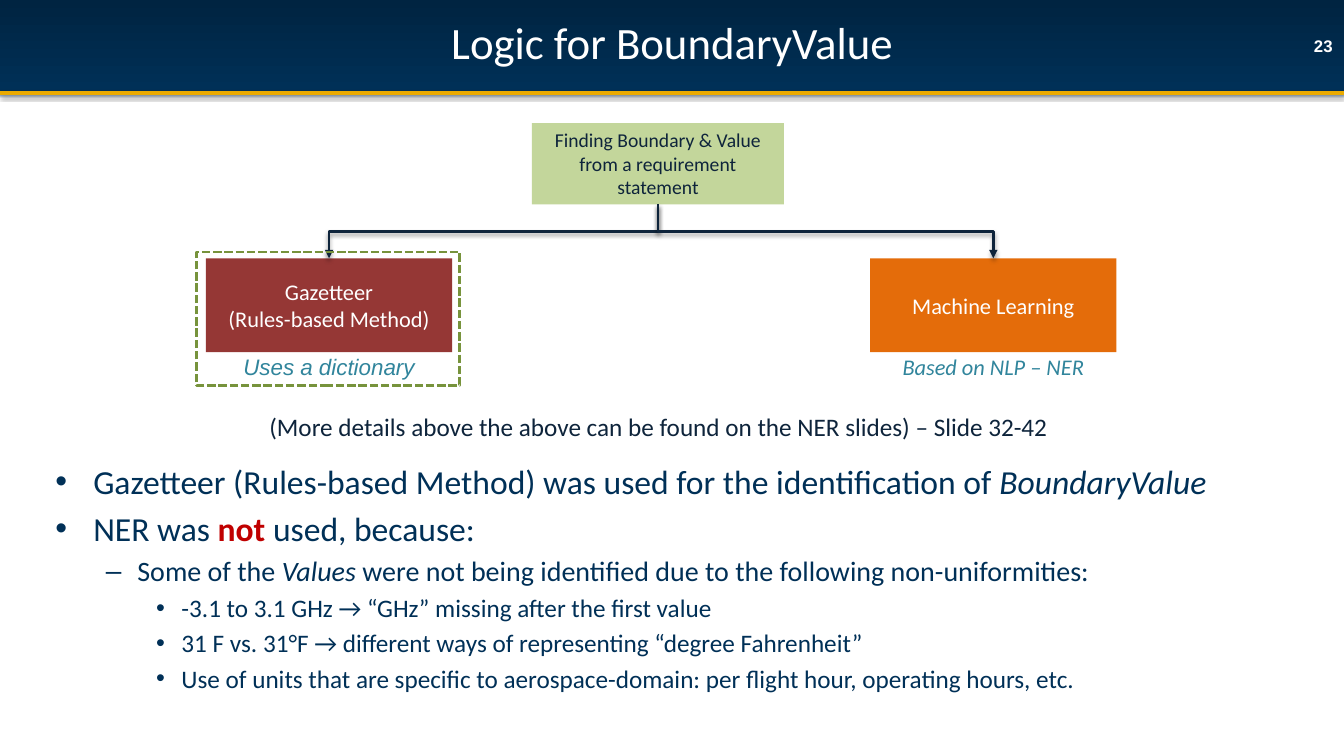
"""Builds the slide explaining the logic for BoundaryValue."""
from dataclasses import dataclass

from lxml import etree
from pptx import Presentation
from pptx.dml.color import RGBColor
from pptx.enum.dml import MSO_LINE
from pptx.enum.shapes import MSO_CONNECTOR, MSO_SHAPE
from pptx.enum.text import MSO_ANCHOR, MSO_AUTO_SIZE, PP_ALIGN
from pptx.oxml.ns import qn
from pptx.util import Pt

RECT = MSO_SHAPE.RECTANGLE
STRAIGHT, ELBOW = MSO_CONNECTOR.STRAIGHT, MSO_CONNECTOR.ELBOW
DASH = MSO_LINE.SQUARE_DOT
TOP, MIDDLE = MSO_ANCHOR.TOP, MSO_ANCHOR.MIDDLE
CENTER, RIGHT = PP_ALIGN.CENTER, PP_ALIGN.RIGHT
NO_FIT = MSO_AUTO_SIZE.NONE

WHITE = RGBColor(0xFF, 0xFF, 0xFF)
BLACK = RGBColor(0x00, 0x00, 0x00)
DEEP_NAVY = RGBColor(0x00, 0x24, 0x41)
NAVY = RGBColor(0x00, 0x30, 0x57)
INK = RGBColor(0x0E, 0x24, 0x3B)
GOLD = RGBColor(0xEA, 0xAA, 0x00)
RED = RGBColor(0xC0, 0x00, 0x00)
TEAL = RGBColor(0x31, 0x85, 0x9C)
PALE_GREEN = RGBColor(0xC3, 0xD6, 0x9B)
GREEN = RGBColor(0x77, 0x93, 0x3C)
MAROON = RGBColor(0x95, 0x37, 0x35)
ORANGE = RGBColor(0xE4, 0x6C, 0x0A)

BACKGROUND_STOPS = ((0, DEEP_NAVY), (12, NAVY), (13, WHITE), (100, WHITE))
ROOT_X, ROOT_BOTTOM, METHOD_TOP = 470, 146, 184.5


@dataclass(frozen=True)
class Style:
    size: float
    color: RGBColor
    font: str = "Calibri"
    bold: bool = False
    italic: bool = False
    align: PP_ALIGN = CENTER
    anchor: MSO_ANCHOR = MIDDLE


@dataclass(frozen=True)
class Box:
    x: float
    y: float
    w: float
    h: float
    text: str
    style: Style
    fill: RGBColor | None = None


@dataclass(frozen=True)
class Method:
    center: float
    text: str
    fill: RGBColor
    caption: str
    caption_font: str


@dataclass(frozen=True)
class Run:
    text: str
    italic: bool = False
    bold: bool = False
    color: RGBColor = NAVY


@dataclass(frozen=True)
class Bullet:
    level: int
    runs: tuple[Run, ...]


METHODS = (
    Method(235, "Gazetteer\n(Rules-based Method)", MAROON, "Uses a dictionary", "Arial"),
    Method(709.5, "Machine Learning", ORANGE, "Based on NLP – NER", "Calibri"),
)
LABELS = (
    Box(924.5, 21, 34.5, 23.5, "23", Style(12, WHITE, "Arial", bold=True, align=RIGHT)),
    Box(ROOT_X - 90, 88, 180, 58, "Finding Boundary & Value from a requirement statement",
        Style(14, INK, anchor=TOP), PALE_GREEN),
    Box(121, 290, 699, 29,
        "(More details above the above can be found on the NER slides) – Slide 32-42",
        Style(18, INK, anchor=TOP)),
)
BULLET_SIZES = (24, 20, 18)
BULLETS = (
    Bullet(0, (Run("Gazetteer (Rules-based Method) was used for the identification of "),
               Run("BoundaryValue", italic=True))),
    Bullet(0, (Run("NER was "), Run("not", bold=True, color=RED), Run(" used, because:"))),
    Bullet(1, (Run("Some of the "), Run("Values", italic=True),
               Run(" were not being identified due to the following non-uniformities:"))),
    Bullet(2, (Run("-3.1 to 3.1 GHz → “GHz” missing after the first value"),)),
    Bullet(2, (Run("31 F vs. 31°F → different ways of representing “degree Fahrenheit”"),)),
    Bullet(2, (Run("Use of units that are specific to aerospace-domain: "
                   "per flight hour, operating hours, etc."),)),
)


def place(shape, x: float, y: float, w: float, h: float) -> None:
    shape.left, shape.top, shape.width, shape.height = Pt(x), Pt(y), Pt(w), Pt(h)


def write(tf, text: str, style: Style) -> None:
    tf.word_wrap, tf.auto_size = True, NO_FIT
    tf.vertical_anchor = style.anchor
    for i, line in enumerate(text.split("\n")):
        p = tf.paragraphs[0] if i == 0 else tf.add_paragraph()
        p.text, p.alignment = line, style.align
        f = p.font
        f.size, f.name, f.bold, f.italic = Pt(style.size), style.font, style.bold, style.italic
        f.color.rgb = style.color


def add_box(s, box: Box) -> None:
    frame = Pt(box.x), Pt(box.y), Pt(box.w), Pt(box.h)
    if box.fill is None:
        sp = s.shapes.add_textbox(*frame)
    else:
        sp = s.shapes.add_shape(RECT, *frame)
        sp.shadow.inherit = False
        sp.fill.solid()
        sp.fill.fore_color.rgb = box.fill
        sp.line.fill.background()
    write(sp.text_frame, box.text, box.style)


def add_line(s, kind: MSO_CONNECTOR, x1: float, y1: float, x2: float, y2: float,
             color: RGBColor, width: float, shadow_alpha: int):
    line = s.shapes.add_connector(kind, Pt(x1), Pt(y1), Pt(x2), Pt(y2))
    line.line.color.rgb, line.line.width = color, Pt(width)
    effects = etree.SubElement(line._element.spPr, qn("a:effectLst"))
    shadow = etree.SubElement(effects, qn("a:outerShdw"), blurRad=str(Pt(3.1)),
                              dist=str(Pt(1.8)), dir="5400000", rotWithShape="0")
    tint = etree.SubElement(shadow, qn("a:srgbClr"), val=str(BLACK))
    etree.SubElement(tint, qn("a:alpha"), val=str(shadow_alpha * 1000))
    return line


def add_branch(s, target_x: float) -> None:
    drop, span = METHOD_TOP - ROOT_BOTTOM, abs(target_x - ROOT_X)
    x = (ROOT_X + target_x - drop) / 2
    y = (ROOT_BOTTOM + METHOD_TOP - span) / 2
    branch = add_line(s, ELBOW, x, y, x + drop, y + span, INK, 2, 38)
    xfrm = branch._element.spPr.find(qn("a:xfrm"))
    to_right = target_x > ROOT_X
    xfrm.set("rot", str((270 if to_right else 90) * 60000))
    if to_right:
        xfrm.set("flipH", "1")
    ln = branch._element.spPr.find(qn("a:ln"))
    etree.SubElement(ln, qn("a:tailEnd"), type="triangle")


def add_method(s, method: Method) -> None:
    add_box(s, Box(method.center - 88, METHOD_TOP, 176, 67, method.text,
                   Style(16, WHITE), method.fill))
    add_branch(s, method.center)
    add_box(s, Box(method.center - 85, 248.5, 170, 26.5, method.caption,
                   Style(16, TEAL, method.caption_font, italic=True, anchor=TOP)))


def set_background(s) -> None:
    fill = s.background.fill
    fill.gradient()
    fill.gradient_angle = 270
    stops = s._element.find(".//" + qn("a:gsLst"))
    for stop in list(stops):
        stops.remove(stop)
    for position, color in BACKGROUND_STOPS:
        stop = etree.SubElement(stops, qn("a:gs"), pos=str(position * 1000))
        etree.SubElement(stop, qn("a:srgbClr"), val=str(color))


def fill_body(body) -> None:
    place(body, 36, 325.5, 888.5, 178.5)
    tf = body.text_frame
    tf.auto_size = NO_FIT
    tf.margin_left = tf.margin_right = tf.margin_top = tf.margin_bottom = Pt(3.6)
    for i, bullet in enumerate(BULLETS):
        p = tf.paragraphs[0] if i == 0 else tf.add_paragraph()
        p.level = bullet.level
        if i == 0:
            p.space_before = Pt(0)
        p.font.size, p.font.name = Pt(BULLET_SIZES[bullet.level]), "Calibri"
        p.font.color.rgb = NAVY
        for run in bullet.runs:
            r = p.add_run()
            r.text = run.text
            if run.italic:
                r.font.italic = True
            if run.bold:
                r.font.bold = True
            if run.color != NAVY:
                r.font.color.rgb = run.color


def main() -> None:
    prs = Presentation()
    prs.slide_width, prs.slide_height = Pt(960), Pt(540)
    s = prs.slides.add_slide(prs.slide_layouts[1])
    set_background(s)
    add_line(s, STRAIGHT, 960, 66.5, 0, 66.5, GOLD, 3, 35)
    title, body = s.placeholders
    place(title, 36, 0, 888.5, 60)
    write(title.text_frame, "Logic for BoundaryValue", Style(32, WHITE))
    fill_body(body)
    for label in LABELS:
        add_box(s, label)
    for method in METHODS:
        add_method(s, method)
    focus = s.shapes.add_shape(RECT, Pt(140.5), Pt(180), Pt(188), Pt(95.5))
    focus.shadow.inherit = False
    focus.fill.background()
    focus.line.color.rgb, focus.line.width, focus.line.dash_style = GREEN, Pt(2), DASH
    prs.save("out.pptx")


if __name__ == "__main__":
    main()
